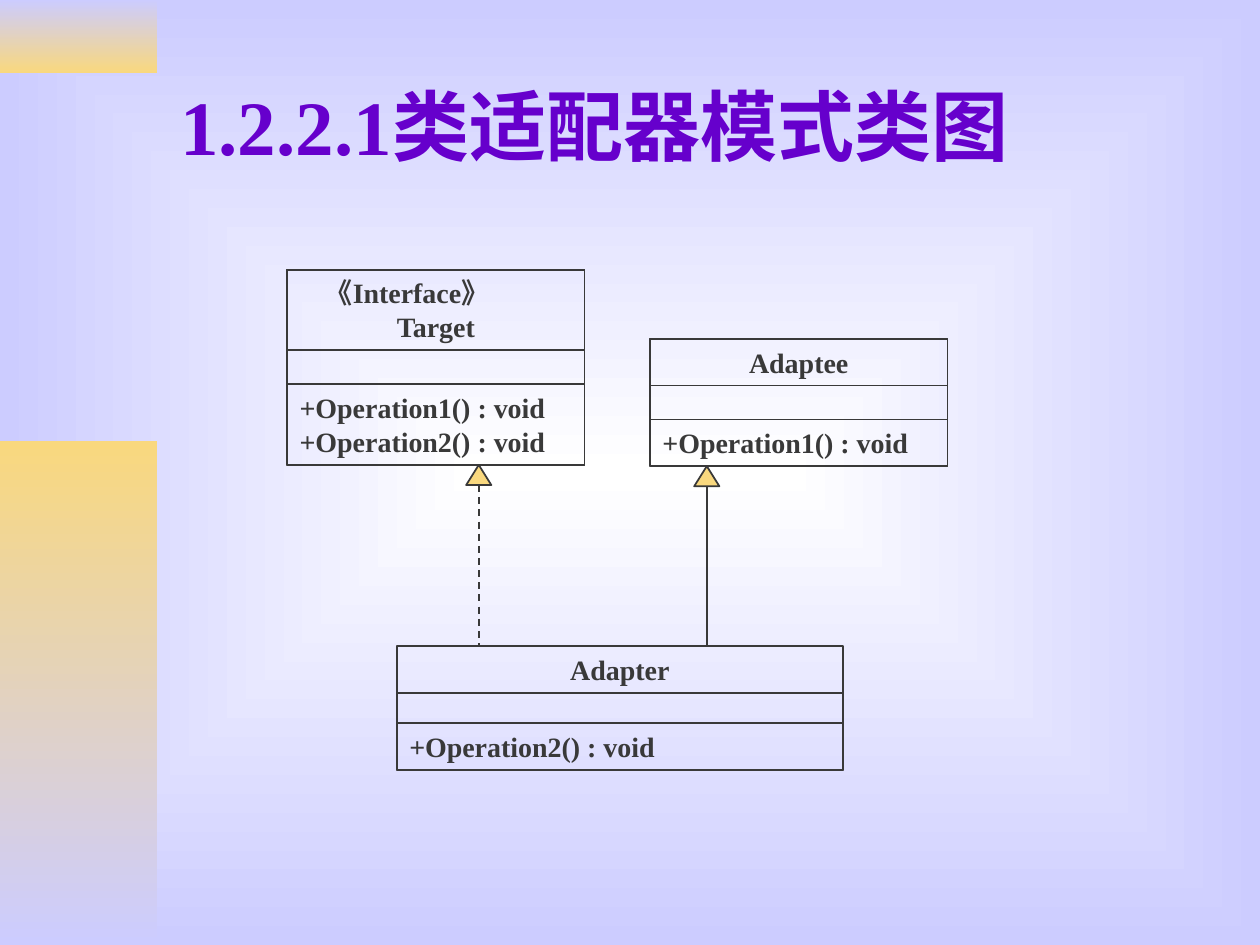
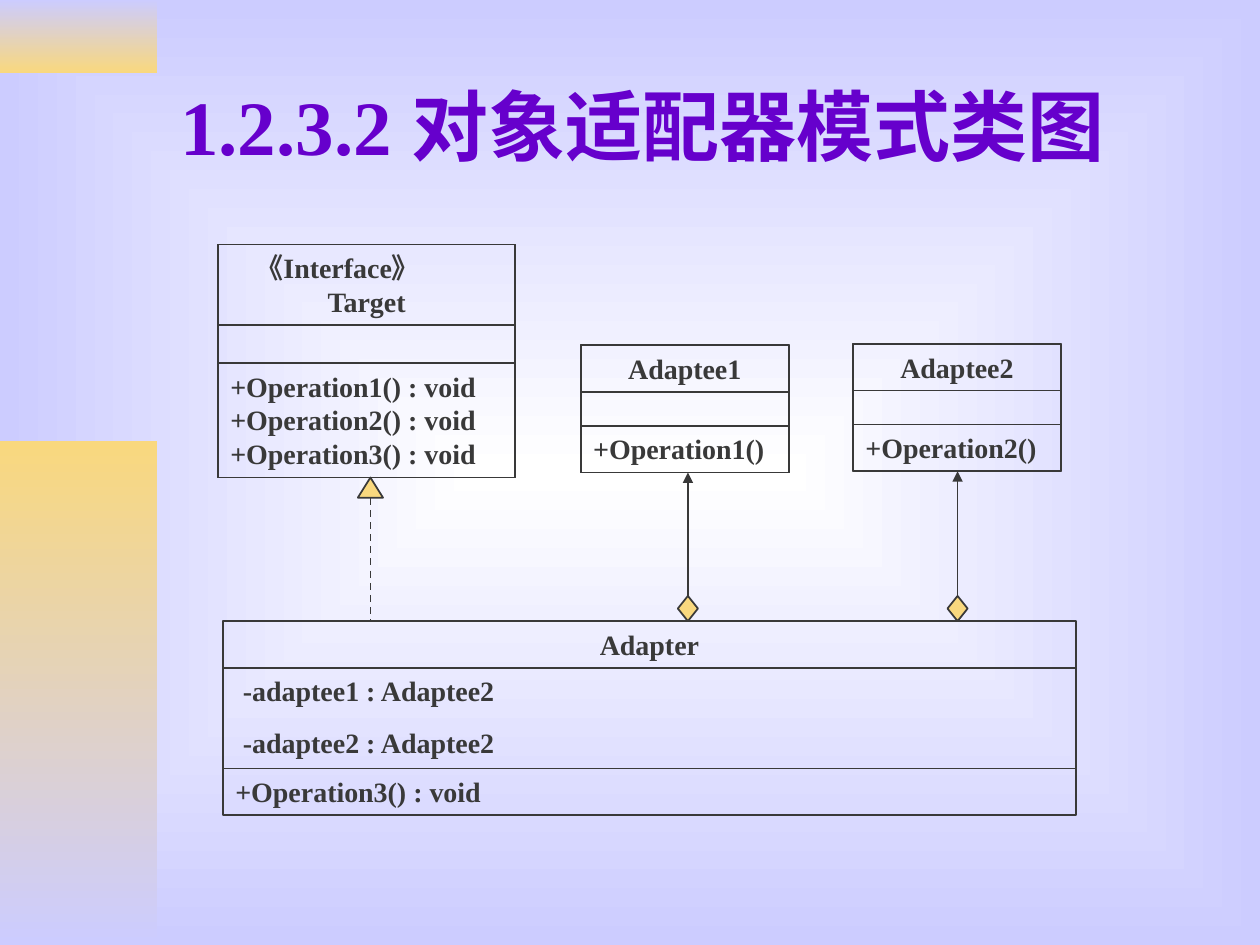
from lxml import etree
from pptx import Presentation
from pptx.dml.color import RGBColor
from pptx.enum import dml, shapes, text
from pptx.oxml import ns
from pptx.util import Inches, Pt

PURPLE = RGBColor(0x66, 0x00, 0xCC)
INK = RGBColor(0x39, 0x39, 0x39)
GOLD = RGBColor(0xF9, 0xD8, 0x7E)
LAVENDER = RGBColor(0xCC, 0xCC, 0xFF)
WHITE = RGBColor(0xFF, 0xFF, 0xFF)
FONT = "Times New Roman"
LINE_HEIGHT, PADDING = 0.27, 0.1
INTERFACE_INDENT, ATTRIBUTE_INDENT = 0.2, 0.06
TITLE_BOX = (1.33, 0.33, 8.5, 1.32)


def inches(*lengths):
    return [Inches(length) for length in lengths]


def set_gradient(fill, start, end):
    fill.gradient()
    for stop, colour in zip(fill.gradient_stops, (start, end)):
        stop.color.rgb = colour


def set_background(master):
    """Rectangular glow, white in the middle."""
    set_gradient(master.background.fill, WHITE, LAVENDER)
    gradient = master.element.xpath(".//p:bg//a:gradFill")[0]
    gradient.remove(gradient.find(ns.qn("a:lin")))
    glow = etree.SubElement(gradient, ns.qn("a:path"), path="rect")
    etree.SubElement(glow, ns.qn("a:fillToRect"),
                     {side: "50000" for side in "ltrb"})


def set_font(para, size, colour):
    para.font.name = FONT
    para.font.size = Pt(size)
    para.font.bold = True
    para.font.color.rgb = colour


def set_insets(frame):
    frame.word_wrap = True
    frame.auto_size = text.MSO_AUTO_SIZE.NONE
    frame.margin_left = frame.margin_right = Inches(0.1)
    frame.margin_top = frame.margin_bottom = Inches(0.05)


def add_outline(page, kind, left, top, width, height, fill=None):
    shape = page.shapes.add_shape(kind, *inches(left, top, width, height))
    shape.shadow.inherit = False
    shape.line.color.rgb = INK
    shape.line.width = Pt(1)
    if fill is None:
        shape.fill.background()
    else:
        shape.fill.solid()
        shape.fill.fore_color.rgb = fill
    return shape


def add_bands(page):
    """Two fading bands along the left edge."""
    for top, height, start, end in ((0, 0.58, LAVENDER, GOLD),
                                    (3.5, 4, GOLD, LAVENDER)):
        band = page.shapes.add_shape(shapes.MSO_SHAPE.RECTANGLE,
                                     *inches(0, top, 1.25, height))
        band.shadow.inherit = False
        band.line.fill.background()
        set_gradient(band.fill, start, end)
        band.fill.gradient_angle = 270


def add_page(deck, title):
    page = deck.slides.add_slide(deck.slide_layouts[5])
    add_bands(page)
    box = page.shapes.title
    box.left, box.top, box.width, box.height = inches(*TITLE_BOX)
    frame = box.text_frame
    frame.text = title
    set_insets(frame)
    frame.vertical_anchor = text.MSO_ANCHOR.MIDDLE
    para = frame.paragraphs[0]
    para.alignment = text.PP_ALIGN.LEFT
    set_font(para, 44, PURPLE)
    return page


def add_compartment(page, left, top, width, height, lines,
                    centred=False, indent=0, gap=0):
    box = add_outline(page, shapes.MSO_SHAPE.RECTANGLE, left, top, width, height)
    frame = box.text_frame
    set_insets(frame)
    frame.vertical_anchor = text.MSO_ANCHOR.TOP
    frame.text = "\n".join(lines)
    for index, para in enumerate(frame.paragraphs):
        # The stereotype line sits left of the centred class name
        stereotype = para.text.startswith("《")
        margin = INTERFACE_INDENT if stereotype else indent
        if margin:
            para._p.get_or_add_pPr().set("marL", str(Inches(margin)))
        para.alignment = (text.PP_ALIGN.CENTER if centred and not stereotype
                          else text.PP_ALIGN.LEFT)
        para.space_before = Pt(gap if index else 0)
        set_font(para, 16, INK)


def add_class(page, left, top, width, names, operations,
              attributes=(), middle=0.27):
    """Class box: name, attributes and operations; returns its bottom edge."""
    name_height, operation_height = (
        PADDING + LINE_HEIGHT * len(lines) for lines in (names, operations))
    height = name_height + middle + operation_height
    if attributes:
        add_compartment(page, left, top + name_height, width, middle,
                        attributes, indent=ATTRIBUTE_INDENT, gap=10)
    else:
        add_outline(page, shapes.MSO_SHAPE.RECTANGLE, left, top, width, height)
    add_compartment(page, left, top, width, name_height, names, centred=True)
    add_compartment(page, left, top + name_height + middle, width,
                    operation_height, operations)
    return top + height


def add_line(page, x, start, end, dashed=False, arrow=False):
    line = page.shapes.add_connector(shapes.MSO_CONNECTOR.STRAIGHT,
                                     *inches(x, start, x, end))
    line.line.color.rgb = INK
    line.line.width = Pt(1)
    if dashed:
        line.line.dash_style = dml.MSO_LINE.DASH
    properties = line.element.spPr
    if arrow:
        etree.SubElement(properties.find(ns.qn("a:ln")), ns.qn("a:tailEnd"),
                         type="triangle")
    etree.SubElement(properties, ns.qn("a:effectLst"))


def add_inheritance(page, x, top, bottom, dashed=False):
    """Triangle under the parent, line down to the child."""
    add_outline(page, shapes.MSO_SHAPE.FLOWCHART_EXTRACT,
                x - 0.1, top, 0.2, 0.16, GOLD)
    add_line(page, x, top + 0.16, bottom, dashed=dashed)


def add_aggregation(page, x, top, bottom):
    """Diamond on the owner, arrow up to the part."""
    add_outline(page, shapes.MSO_SHAPE.DIAMOND,
                x - 0.08, bottom - 0.2, 0.16, 0.2, GOLD)
    add_line(page, x, bottom - 0.2, top, arrow=True)


def operation(number):
    return f"+Operation{number}() : void"


def add_class_adapter(deck):
    page = add_page(deck, "1.2.2.1类适配器模式类图")
    adapter_top = 5.13
    target_bottom = add_class(page, 2.28, 2.14, 2.36, ["《Interface》", "Target"],
                              [operation(1), operation(2)])
    adaptee_bottom = add_class(page, 5.16, 2.69, 2.36, ["Adaptee"], [operation(1)])
    add_class(page, 3.15, adapter_top, 3.54, ["Adapter"], [operation(2)],
              middle=0.24)
    add_inheritance(page, 3.8, target_bottom, adapter_top, dashed=True)
    add_inheritance(page, 5.61, adaptee_bottom, adapter_top)


def add_object_adapter(deck):
    page = add_page(deck, "1.2.3.2 对象适配器模式类图")
    adapter_top = 4.93
    target_bottom = add_class(page, 1.73, 1.94, 2.36, ["《Interface》", "Target"],
                              [operation(number) for number in (1, 2, 3)],
                              middle=0.3)
    add_inheritance(page, 2.94, target_bottom, adapter_top, dashed=True)
    for number, left, top, x in ((1, 4.61, 2.74, 5.46), (2, 6.77, 2.73, 7.6)):
        bottom = add_class(page, left, top, 1.65, [f"Adaptee{number}"],
                           [f"+Operation{number}()"])
        add_aggregation(page, x, bottom, adapter_top)
    add_class(page, 1.77, adapter_top, 6.77, ["Adapter"], [operation(3)],
              ["-adaptee1 : Adaptee2", "-adaptee2 : Adaptee2"], middle=0.8)


def main():
    deck = Presentation()
    deck.slide_width, deck.slide_height = inches(10, 7.5)
    set_background(deck.slide_master)
    add_class_adapter(deck)
    add_object_adapter(deck)
    deck.save("out.pptx")


if __name__ == "__main__":
    main()
